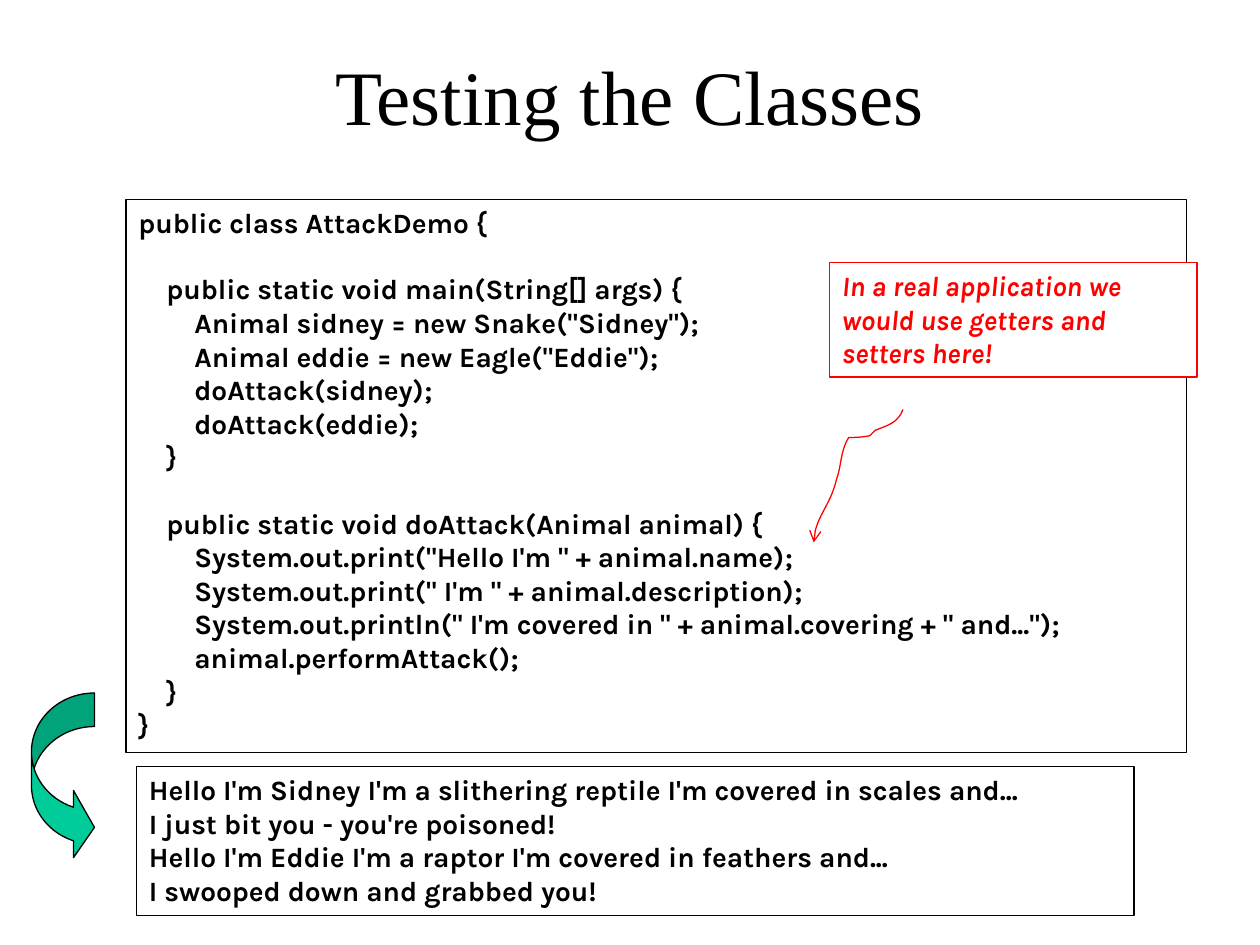
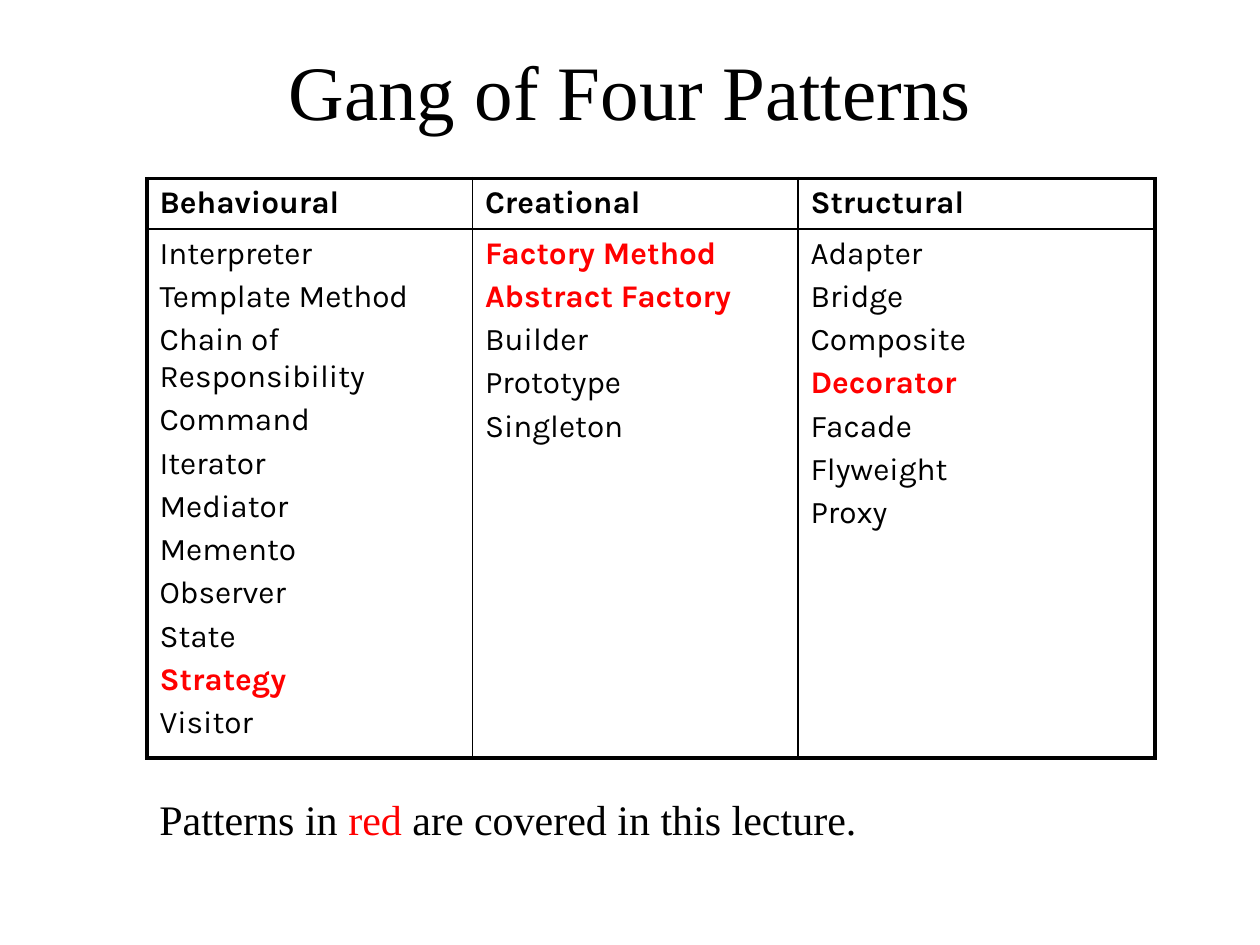
"""Build two slides on attack classes and design patterns."""
from dataclasses import dataclass

from lxml.etree import SubElement
from pptx import Presentation
from pptx.dml.color import RGBColor
from pptx.enum.shapes import MSO_SHAPE
from pptx.enum.text import MSO_ANCHOR, PP_ALIGN
from pptx.oxml.ns import qn
from pptx.presentation import Presentation as Deck
from pptx.shapes.autoshape import Shape
from pptx.slide import Slide
from pptx.table import _Cell as Cell
from pptx.text.text import TextFrame, _Run as Span
from pptx.util import Pt

COLORS = {"ink": "000000", "paper": "FFFFFF", "accent": "FF0000", "arrow": "00CC99"}
SERIF, SANS = "Times New Roman", "Karla"
THIN, INNER, OUTER = 0.75, 1, 2.25
INDENT, BLANK_LINE, ITEM_GAP = 16, 18.7, 3.6


@dataclass(frozen=True)
class Area:
    left: float
    top: float
    width: float
    height: float

    def lengths(self) -> tuple[Pt, Pt, Pt, Pt]:
        return Pt(self.left), Pt(self.top), Pt(self.width), Pt(self.height)


@dataclass(frozen=True)
class Style:
    font: str
    size: float
    color: str = "ink"
    bold: bool = False
    italic: bool = False


@dataclass(frozen=True)
class Line:
    text: str
    level: int = 0
    gap: float = 0


@dataclass(frozen=True)
class Panel:
    area: Area
    lines: tuple[Line, ...]
    style: Style
    border: str = "ink"


@dataclass(frozen=True)
class Category:
    name: str
    width: float
    patterns: tuple[str, ...]


TITLE = Style(SERIF, 44)
CODE = Style(SANS, 16, bold=True)
REMARK = Style(SANS, 16, "accent", bold=True, italic=True)
HEADING = Style(SANS, 18, bold=True)
PATTERN = Style(SANS, 18)
COVERED_PATTERN = Style(SANS, 18, "accent", bold=True)
NOTE = Style(SERIF, 24)
NOTE_ACCENT = Style(SERIF, 24, "accent")

OUTPUT_PANEL = Panel(Area(78, 438, 570, 85), (
    Line("Hello I'm Sidney I'm a slithering reptile I'm covered in scales and..."),
    Line("I just bit you - you're poisoned!"),
    Line("Hello I'm Eddie I'm a raptor I'm covered in feathers and..."),
    Line("I swooped down and grabbed you!"),
), CODE)
CODE_PANEL = Panel(Area(72, 114, 606, 316), (
    Line("public class AttackDemo {"),
    Line("public static void main(String[] args) {", 1, BLANK_LINE),
    Line('Animal sidney = new Snake("Sidney");', 2),
    Line('Animal eddie = new Eagle("Eddie");', 2),
    Line("doAttack(sidney);", 2),
    Line("doAttack(eddie);", 2),
    Line("}", 1),
    Line("public static void doAttack(Animal animal) {", 1, BLANK_LINE),
    Line('System.out.print("Hello I\'m " + animal.name);', 2),
    Line('System.out.print(" I\'m " + animal.description);', 2),
    Line('System.out.println(" I\'m covered in " + animal.covering + " and...");', 2),
    Line("animal.performAttack();", 2),
    Line("}", 1),
    Line("}"),
), CODE)
REMARK_PANEL = Panel(Area(474, 150, 210, 65.5), (
    Line("In a real application we would use getters and setters here!"),
), REMARK, "accent")

POINTER_START = (516.2, 234)
POINTER_CURVES = (
    (513.4, 241.9), (506.9, 243.4), (500.4, 246.2),
    (499, 247), (498.2, 248.4), (496.8, 249.1),
    (492.5, 249.8), (488.2, 249.8), (484.6, 249.8),
    (479.5, 257.8), (481, 265.7), (478.1, 274.3),
    (475.2, 286.6), (465.1, 296.6), (465.1, 310.3),
)

CATEGORIES = (
    Category("Behavioural", 186, (
        "Interpreter", "Template Method", "Chain of Responsibility", "Command",
        "Iterator", "Mediator", "Memento", "Observer", "State", "Strategy", "Visitor")),
    Category("Creational", 186, (
        "Factory Method", "Abstract Factory", "Builder", "Prototype", "Singleton")),
    Category("Structural", 204, (
        "Adapter", "Bridge", "Composite", "Decorator", "Facade", "Flyweight", "Proxy")),
)
COVERED = {"Strategy", "Factory Method", "Abstract Factory", "Decorator"}
ROW_HEIGHTS = (28, 297)


def color(name: str) -> RGBColor:
    return RGBColor.from_string(COLORS[name])


def format_span(span: Span, style: Style) -> None:
    span.font.name = style.font
    span.font.size = Pt(style.size)
    span.font.bold = style.bold
    span.font.italic = style.italic
    span.font.color.rgb = color(style.color)


def write_lines(frame: TextFrame, lines: tuple[Line, ...], style: Style) -> None:
    frame.text = "\n".join(line.text for line in lines)
    for para, line in zip(frame.paragraphs, lines):
        para.alignment = PP_ALIGN.LEFT
        para.space_before = Pt(line.gap)
        para._p.get_or_add_pPr().set("marL", str(Pt(INDENT * line.level)))
        format_span(para.runs[0], style)


def paint(shape: Shape, fill: str | None, border: str) -> None:
    shape.shadow.inherit = False
    if fill:
        shape.fill.solid()
        shape.fill.fore_color.rgb = color(fill)
    else:
        shape.fill.background()
    shape.line.color.rgb = color(border)
    shape.line.width = Pt(THIN)


def add_text(slide: Slide, area: Area, text: str, style: Style) -> TextFrame:
    frame = slide.shapes.add_textbox(*area.lengths()).text_frame
    frame.word_wrap = True
    frame.text = text
    format_span(frame.paragraphs[0].runs[0], style)
    return frame


def add_title(slide: Slide, text: str, area: Area) -> None:
    frame = add_text(slide, area, text, TITLE)
    frame.paragraphs[0].alignment = PP_ALIGN.CENTER


def add_panel(slide: Slide, panel: Panel) -> None:
    box = slide.shapes.add_shape(MSO_SHAPE.RECTANGLE, *panel.area.lengths())
    paint(box, "paper", panel.border)
    box.text_frame.word_wrap = True
    box.text_frame.vertical_anchor = MSO_ANCHOR.TOP
    write_lines(box.text_frame, panel.lines, panel.style)


def add_output_arrow(slide: Slide, area: Area) -> None:
    arrow = slide.shapes.add_shape(MSO_SHAPE.CURVED_RIGHT_ARROW, *area.lengths())
    paint(arrow, "arrow", "ink")
    for index, value in enumerate((0.533, 1.067, 0.333)):
        arrow.adjustments[index] = value


def add_pointer(slide: Slide) -> None:
    builder = slide.shapes.build_freeform(*POINTER_START, scale=Pt(1))
    builder.add_line_segments(POINTER_CURVES, close=False)
    pointer = builder.convert_to_shape()
    paint(pointer, None, "accent")
    outline = pointer._element.find(".//" + qn("a:path"))
    segments = outline.findall(qn("a:lnTo"))
    for first in range(0, len(segments), 3):
        curve = SubElement(outline, qn("a:cubicBezTo"))
        for segment in segments[first:first + 3]:
            curve.append(segment[0])
            outline.remove(segment)
    SubElement(pointer.line._get_or_add_ln(), qn("a:tailEnd"), type="arrow")


def set_borders(cell: Cell, widths: dict[str, float]) -> None:
    properties = cell._tc.get_or_add_tcPr()
    for side, width in widths.items():
        border = SubElement(properties, qn(f"a:ln{side}"), w=str(Pt(width)))
        fill = SubElement(border, qn("a:solidFill"))
        SubElement(fill, qn("a:srgbClr"), val=COLORS["ink"])


def add_pattern_table(slide: Slide, left: float, top: float) -> None:
    area = Area(left, top, sum(item.width for item in CATEGORIES), sum(ROW_HEIGHTS))
    last = len(CATEGORIES) - 1
    table = slide.shapes.add_table(2, last + 1, *area.lengths()).table
    table.first_row = table.horz_banding = False
    for row, height in zip(table.rows, ROW_HEIGHTS):
        row.height = Pt(height)
    for column, category in enumerate(CATEGORIES):
        table.columns[column].width = Pt(category.width)
        head, body = table.cell(0, column), table.cell(1, column)
        write_lines(head.text_frame, (Line(category.name),), HEADING)
        lines = tuple(Line(name, gap=ITEM_GAP if index else 0)
                      for index, name in enumerate(category.patterns))
        write_lines(body.text_frame, lines, PATTERN)
        for para in body.text_frame.paragraphs:
            if para.text in COVERED:
                format_span(para.runs[0], COVERED_PATTERN)
        for cell in (head, body):
            set_borders(cell, {
                "L": INNER if column else OUTER,
                "R": OUTER if column == last else INNER,
                "T": OUTER if cell is head else INNER,
                "B": INNER if cell is head else OUTER,
            })
            cell.fill.background()


def add_note(slide: Slide, area: Area) -> None:
    para = add_text(slide, area, "Patterns in ", NOTE).paragraphs[0]
    for text, style in (("red", NOTE_ACCENT), (" are covered in this lecture.", NOTE)):
        span = para.add_run()
        span.text = text
        format_span(span, style)


def add_page(deck: Deck) -> Slide:
    return deck.slides.add_slide(deck.slide_layouts[6])


def build_testing_page(deck: Deck) -> None:
    page = add_page(deck)
    add_title(page, "Testing the Classes", Area(54, 24, 612, 90))
    for panel in (OUTPUT_PANEL, CODE_PANEL):
        add_panel(page, panel)
    add_output_arrow(page, Area(18, 396, 36, 96))
    add_panel(page, REMARK_PANEL)
    add_pointer(page)


def build_patterns_page(deck: Deck) -> None:
    page = add_page(deck)
    add_title(page, "Gang of Four Patterns", Area(36, 21.6, 648, 90))
    add_pattern_table(page, 84, 102)
    add_note(page, Area(84, 450, 546, 36))


def main() -> None:
    deck = Presentation()
    deck.slide_width, deck.slide_height = Pt(720), Pt(540)
    build_testing_page(deck)
    build_patterns_page(deck)
    deck.save("out.pptx")


if __name__ == "__main__":
    main()
